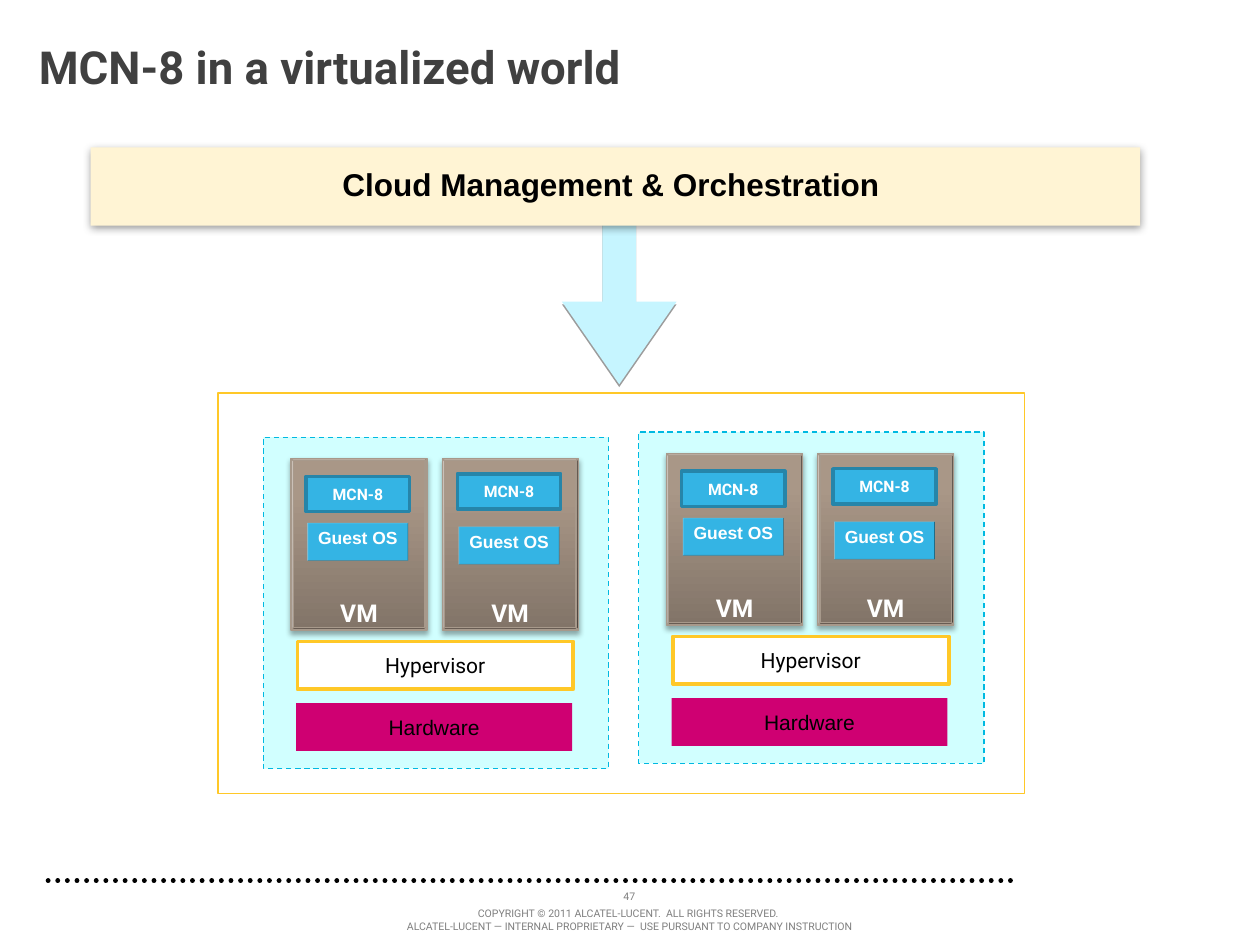
from dataclasses import dataclass

from lxml import etree
from pptx import Presentation
from pptx.dml.color import RGBColor
from pptx.enum.dml import MSO_LINE
from pptx.enum.shapes import MSO_CONNECTOR, MSO_SHAPE
from pptx.enum.text import MSO_ANCHOR, PP_ALIGN
from pptx.oxml.ns import qn
from pptx.util import Inches, Pt

RECT, BEVEL, DOWN_ARROW = MSO_SHAPE.RECTANGLE, MSO_SHAPE.BEVEL, MSO_SHAPE.DOWN_ARROW
LEFT, CENTER = PP_ALIGN.LEFT, PP_ALIGN.CENTER
TOP, MIDDLE, BOTTOM = MSO_ANCHOR.TOP, MSO_ANCHOR.MIDDLE, MSO_ANCHOR.BOTTOM
DASH, DOTS = MSO_LINE.DASH, MSO_LINE.ROUND_DOT
STRAIGHT = MSO_CONNECTOR.STRAIGHT


@dataclass(frozen=True)
class Theme:
    black: str = "000000"
    white: str = "FFFFFF"
    title: str = "404040"
    number: str = "808080"
    footer: str = "7F7F7F"
    cream: str = "FFF4D4"
    arrow: str = "C6F5FF"
    gold: str = "FFC828"
    node: str = "CCFFFF"
    node_edge: str = "00B9E1"
    vm_stops: tuple = ((0, "827468"), (80, "A99787"), (100, "AA9887"))
    vm_edge: str = "A7998B"
    blue: str = "34B4E4"
    blue_edge: str = "2685A9"
    magenta: str = "CF0072"
    head_font: str = "Roboto"
    body_font: str = "Arial"
    title_size: float = 26
    banner_size: float = 18
    vm_size: float = 14
    layer_size: float = 12
    guest_size: float = 10
    app_size: float = 9
    footer_size: float = 6


THEME = Theme()


def add_color(parent, color, alpha=None):
    node = etree.SubElement(parent, qn("a:srgbClr"), val=color)
    if alpha is not None:
        etree.SubElement(node, qn("a:alpha"), val=str(alpha * 1000))


def write_text(shape, text, size, color, font=THEME.head_font, bold=False,
               align=CENTER, anchor=MIDDLE, wrap=False, inset=None, spacing=None):
    frame = shape.text_frame
    frame.word_wrap, frame.vertical_anchor = wrap, anchor
    if inset is not None:
        frame.margin_left = frame.margin_right = Inches(inset)
        frame.margin_top = frame.margin_bottom = Inches(inset)
    para = frame.paragraphs[0]
    para.alignment, para.line_spacing = align, spacing
    para.text = text.replace("\n", "\v")
    for span in para.runs:
        span.font.name, span.font.size, span.font.bold = font, Pt(size), bold
        span.font.color.rgb = RGBColor.from_string(color)
    # Line breaks need the text size too, or they stretch the line
    for line_break in para._p.findall(qn("a:br")):
        etree.SubElement(line_break, qn("a:rPr"), sz=str(int(size * 100)))


def add_label(page, box, text, size, color, **text_format):
    label = page.shapes.add_textbox(*map(Inches, box))
    write_text(label, text, size, color, **text_format)


def add_box(page, box, fill, kind=RECT, edge=None, edge_width=0.75, dash=None,
            alpha=None, adjust=()):
    shape = page.shapes.add_shape(kind, *map(Inches, box))
    shape.shadow.inherit = False
    for index, value in enumerate(adjust):
        shape.adjustments[index] = value
    if isinstance(fill, tuple):
        set_gradient(shape, fill)
    else:
        shape.fill.solid()
        shape.fill.fore_color.rgb = RGBColor.from_string(fill)
    if alpha is not None:
        color = shape._element.spPr.find(qn("a:solidFill")).find(qn("a:srgbClr"))
        etree.SubElement(color, qn("a:alpha"), val=str(alpha * 1000))
    if edge:
        shape.line.color.rgb = RGBColor.from_string(edge)
        shape.line.width = Pt(edge_width)
        if dash:
            shape.line.dash_style = dash
    else:
        shape.line.fill.background()
    return shape


def set_gradient(shape, stops):
    shape.fill.gradient()
    shape.fill.gradient_angle = 90
    stop_list = shape._element.spPr.find(qn("a:gradFill")).find(qn("a:gsLst"))
    for old_stop in list(stop_list):
        stop_list.remove(old_stop)
    for position, color in stops:
        add_color(etree.SubElement(stop_list, qn("a:gs"), pos=str(position * 1000)), color)


def add_shadow(shape, alpha, blur, distance):
    effects = shape._element.spPr.find(qn("a:effectLst"))
    shadow = etree.SubElement(effects, qn("a:outerShdw"), blurRad=str(Pt(blur)),
                              dist=str(Pt(distance)), dir="5400000",
                              algn="ctr", rotWithShape="0")
    add_color(shadow, THEME.black, alpha)


def add_footer(page, left, top, width):
    # Dotted rule
    rule = page.shapes.add_connector(STRAIGHT, Inches(left + width), Inches(top),
                                     Inches(left), Inches(top))
    rule.line.color.rgb = RGBColor.from_string(THEME.black)
    rule.line.width = Pt(2.75)
    rule.line.dash_style = DOTS
    rule.line._ln.set("cap", "rnd")
    etree.SubElement(rule._element.spPr, qn("a:effectLst"))
    # Page number and copyright
    add_label(page, (4.73, top - 0.04, 0.53, 0.26), "47", THEME.footer_size,
              THEME.number, anchor=BOTTOM, wrap=True)
    add_label(page, (1.49, top + 0.21, 7.01, 0.25),
              "COPYRIGHT © 2011 ALCATEL-LUCENT.  ALL RIGHTS RESERVED. \n"
              "ALCATEL-LUCENT — INTERNAL PROPRIETARY —  USE PURSUANT TO COMPANY INSTRUCTION",
              THEME.footer_size, THEME.footer, anchor=BOTTOM, wrap=True)


def add_management(page, left, top, width, height):
    # Arrow down to the cluster, partly behind the banner
    arrow = add_box(page, (left + 3.74, top + 0.53, 0.91, 1.35), THEME.arrow,
                    DOWN_ARROW, adjust=(0.294, 0.721))
    add_shadow(arrow, 38, 0, 1.6)
    banner = add_box(page, (left, top, width, height), THEME.cream)
    add_shadow(banner, 38, 5, 1.6)
    write_text(banner, "Cloud Management & Orchestration ", THEME.banner_size,
               THEME.black, font=THEME.body_font, bold=True, spacing=0.9)


def add_vm(page, left, top, app_drop, guest_drop):
    machine = add_box(page, (left, top, 1.08, 1.36), THEME.vm_stops, BEVEL,
                      edge=THEME.vm_edge, adjust=(0.016,))
    add_shadow(machine, 35, 3.1, 1.8)
    write_text(machine, "VM", THEME.vm_size, THEME.white, bold=True,
               anchor=BOTTOM, inset=0, spacing=0.9)
    # Guest system
    guest_left, guest_top = left + 0.13, top + guest_drop
    add_box(page, (guest_left, guest_top, 0.8, 0.3), THEME.blue, BEVEL, adjust=(0.016,))
    add_label(page, (guest_left + 0.08, guest_top + 0.05, 0.64, 0.15), "Guest OS",
              THEME.guest_size, THEME.white, font=THEME.body_font, bold=True,
              anchor=TOP, inset=0, spacing=0.9)
    # Application
    app = add_box(page, (left + 0.12, top + app_drop, 0.82, 0.28), THEME.blue,
                  edge=THEME.blue_edge, edge_width=2)
    write_text(app, "MCN-8", THEME.app_size, THEME.white, bold=True)


def add_node(page, left, top, width, height):
    add_box(page, (left, top, width, height), THEME.node, edge=THEME.node_edge,
            dash=DASH, alpha=90)
    for offset, app_drop, guest_drop in ((0.22, 0.14, 0.51), (1.42, 0.12, 0.54)):
        add_vm(page, left + offset, top + 0.17, app_drop, guest_drop)
    # Layers below the machines
    hypervisor = add_box(page, (left + 0.27, top + 1.62, 2.19, 0.38), THEME.white,
                         edge=THEME.gold, edge_width=2)
    write_text(hypervisor, "Hypervisor", THEME.layer_size, THEME.black)
    hardware = add_box(page, (left + 0.26, top + 2.11, 2.19, 0.38), THEME.magenta)
    write_text(hardware, "Hardware", THEME.layer_size, THEME.black, font=THEME.body_font)


def add_cluster(page, left, top, width, height):
    add_box(page, (left, top, width, height), THEME.white, edge=THEME.gold, alpha=90)
    for across, down in ((3.34, 0.31), (0.36, 0.35)):
        add_node(page, left + across, top + down, 2.74, 2.63)


def main():
    deck = Presentation()
    deck.slide_width, deck.slide_height = Inches(10), Inches(7.5)
    page = deck.slides.add_slide(deck.slide_layouts[6])
    add_footer(page, 0.34, 6.99, 7.68)
    add_label(page, (0.21, 0.26, 9.45, 1.25), "MCN-8 in a virtualized world",
              THEME.title_size, THEME.title, bold=True, align=LEFT, anchor=TOP, wrap=True)
    add_management(page, 0.72, 1.17, 8.33, 0.62)
    add_cluster(page, 1.73, 3.12, 6.4, 3.18)
    deck.save("out.pptx")


if __name__ == "__main__":
    main()
